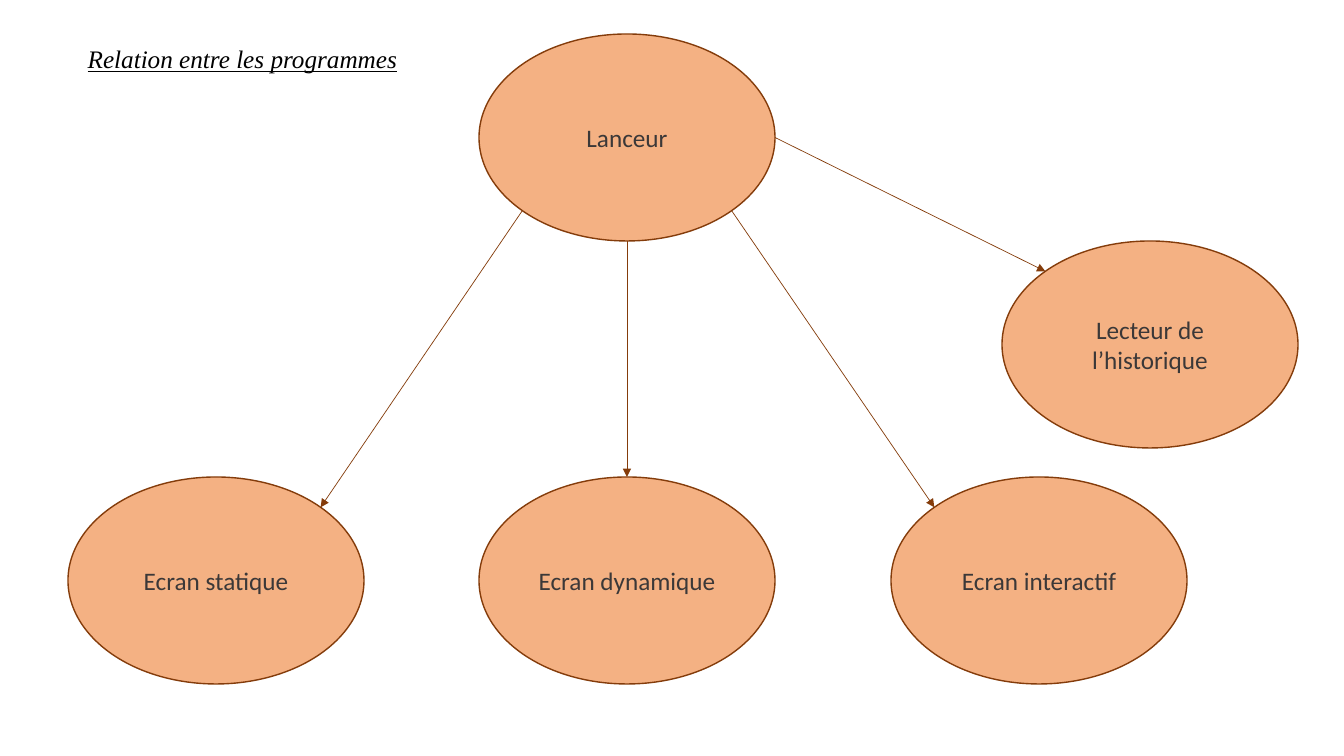
import math
import pptx
import pptx.util
import pptx.dml.color
import pptx.enum.shapes
import pptx.enum.text
import pptx.oxml
import pptx.oxml.ns

SHAPES = pptx.enum.shapes.MSO_SHAPE


def px(v):
    return pptx.util.Emu(round(v * 914400 / 100.8))


def rgb(value):
    return pptx.dml.color.RGBColor.from_string(value)


class Deck:
    LINE = "843C0B"
    NODE_W, NODE_H = 296, 207
    NODE_FONT = {"name": "Calibri", "size": pptx.util.Pt(18)}
    TITLE_FONT = {"name": "Times New Roman", "size": pptx.util.Pt(18),
                  "italic": True, "underline": True}

    def __init__(self, width, height):
        self.prs = pptx.Presentation()
        self.prs.slide_width, self.prs.slide_height = px(width), px(height)
        self.s = self.prs.slides.add_slide(self.prs.slide_layouts[6])

    def shape(self, kind, box, text, fill, line, color, font):
        sp = self.s.shapes.add_shape(kind, *map(px, box))
        sp.shadow.inherit = False
        sp.fill.solid()
        sp.fill.fore_color.rgb = rgb(fill)
        sp.line.color.rgb = rgb(line)
        sp.line.width = pptx.util.Pt(1)
        tf = sp.text_frame
        tf.word_wrap = True
        tf.vertical_anchor = pptx.enum.text.MSO_ANCHOR.MIDDLE
        p = tf.paragraphs[0]
        p.alignment = pptx.enum.text.PP_ALIGN.CENTER
        r = p.add_run()
        r.text = text
        for key, value in font.items():
            setattr(r.font, key, value)
        r.font.color.rgb = rgb(color)

    def title(self, box, text):
        self.shape(SHAPES.RECTANGLE, box, text, "FFFFFF", "FFFFFF", "000000", self.TITLE_FONT)

    def node(self, left, top, text):
        box = (left, top, self.NODE_W, self.NODE_H)
        self.shape(SHAPES.OVAL, box, text, "F4B183", self.LINE, "3B3838", self.NODE_FONT)

    def rim(self, left, top, degrees):
        a = math.radians(degrees)
        return (left + self.NODE_W / 2 * (1 + math.cos(a)),
                top + self.NODE_H / 2 * (1 + math.sin(a)))

    def arrow(self, start, end):
        c = self.s.shapes.add_connector(pptx.enum.shapes.MSO_CONNECTOR.STRAIGHT,
                                        *map(px, start + end))
        c.line.color.rgb = rgb(self.LINE)
        c.line.width = pptx.util.Pt(0.5)
        ln = c.line._get_or_add_ln()
        tail = pptx.oxml.parse_xml(
            '<a:tailEnd %s type="triangle"/>' % pptx.oxml.ns.nsdecls("a"))
        ln.append(tail)
        c._element.spPr.append(pptx.oxml.parse_xml(
            "<a:effectLst %s/>" % pptx.oxml.ns.nsdecls("a")))


deck = Deck(1344, 756)
launcher = (479, 34)
programs = [
    ("Ecran statique", (68, 477), 135, -45),
    ("Ecran dynamique", (479, 477), 90, -90),
    ("Ecran interactif", (891, 477), 45, -135),
    ("Lecteur de l’historique", (1002, 241), 0, -135),
]

deck.title((68, 34, 349, 49), "Relation entre les programmes")
deck.node(*launcher, "Lanceur")
for name, place, leave, arrive in programs:
    deck.node(*place, name)
    deck.arrow(deck.rim(*launcher, leave), deck.rim(*place, arrive))

deck.prs.save("out.pptx")
